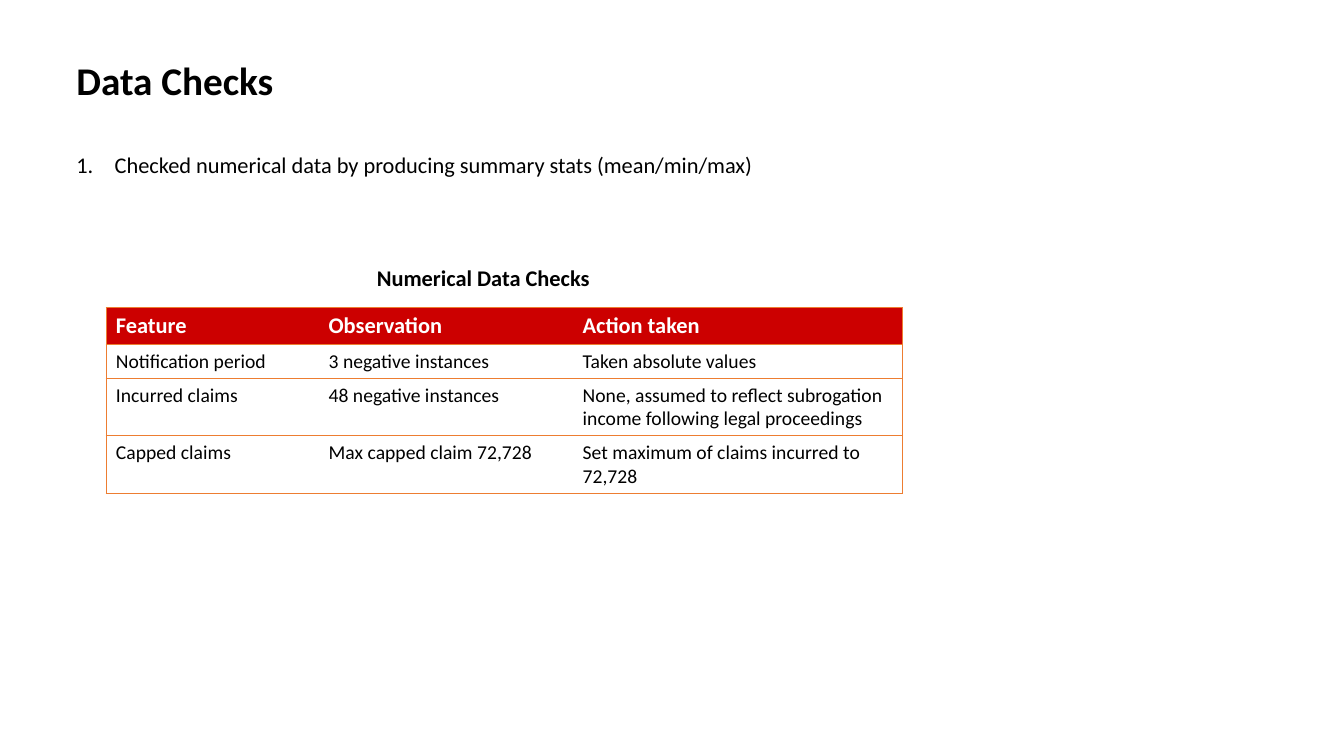
import pptx
import pptx.dml.color
import pptx.oxml.ns
import pptx.util
from lxml import etree

Inches = pptx.util.Inches
Pt = pptx.util.Pt
qn = pptx.oxml.ns.qn

TITLE = "Data Checks"
CHECK = "Checked numerical data by producing summary stats (mean/min/max)"
CAPTION = "Numerical Data Checks"
ROWS = [
    ("Feature", "Observation", "Action taken"),
    ("Notification period", "3 negative instances", "Taken absolute values"),
    ("Incurred claims", "48 negative instances",
     "None, assumed to reflect subrogation income following legal proceedings"),
    ("Capped claims", "Max capped claim 72,728", "Set maximum of claims incurred to 72,728"),
]
COLUMN_WIDTHS = [2.11, 2.52, 3.27]
ROW_HEIGHTS = [0.37, 0.33, 0.57, 0.57]
COLORS = {"text": "000000", "header": "CC0000", "header_text": "FFFFFF", "border": "ED7D31"}
FONT = "Calibri"


def color(name):
    return pptx.dml.color.RGBColor.from_string(COLORS[name])


def add_span(para, text, size, bold=False, ink="text"):
    span = para.add_run()
    span.text = text
    span.font.name = FONT
    span.font.size = Pt(size)
    span.font.bold = bold
    span.font.color.rgb = color(ink)


def add_box(page, left, top, width, height, wrap):
    box = page.shapes.add_textbox(Inches(left), Inches(top), Inches(width), Inches(height))
    box.text_frame.word_wrap = wrap
    return box.text_frame


def number_para(para, indent):
    props = para._p.get_or_add_pPr()
    props.set("marL", str(Inches(indent)))
    props.set("indent", str(-Inches(indent)))
    etree.SubElement(props, qn("a:buFont"), typeface="+mj-lt")
    etree.SubElement(props, qn("a:buAutoNum"), type="arabicPeriod")


def set_borders(cell, visible_sides):
    props = cell._tc.get_or_add_tcPr()
    for side in "LRTB":
        line = etree.SubElement(props, qn("a:ln" + side), w=str(Pt(0.5)))
        if side in visible_sides:
            fill = etree.SubElement(line, qn("a:solidFill"))
            etree.SubElement(fill, qn("a:srgbClr"), val=COLORS["border"])
        else:
            etree.SubElement(line, qn("a:noFill"))


def add_checks_table(page, left, top):
    frame = page.shapes.add_table(
        len(ROWS), len(COLUMN_WIDTHS), Inches(left), Inches(top),
        Inches(sum(COLUMN_WIDTHS)), Inches(sum(ROW_HEIGHTS)))
    table = frame.table
    table.horz_banding = False
    for column, width in zip(table.columns, COLUMN_WIDTHS):
        column.width = Inches(width)
    for row, height in zip(table.rows, ROW_HEIGHTS):
        row.height = Inches(height)
    last = len(COLUMN_WIDTHS) - 1
    for r, texts in enumerate(ROWS):
        header = r == 0
        for c, text in enumerate(texts):
            cell = table.cell(r, c)
            set_borders(cell, "TB" + ("L" if c == 0 else "") + ("R" if c == last else ""))
            if header:
                cell.fill.solid()
                cell.fill.fore_color.rgb = color("header")
            else:
                cell.fill.background()
            add_span(cell.text_frame.paragraphs[0], text, 16 if header else 14,
                     header, "header_text" if header else "text")


def main():
    deck = pptx.Presentation()
    deck.slide_width = Inches(13.33)
    deck.slide_height = Inches(7.5)
    page = deck.slides.add_slide(deck.slide_layouts[6])

    intro = add_box(page, 0.66, 0.51, 8.76, 1.95, True)
    add_span(intro.paragraphs[0], TITLE, 28, True)
    para = intro.add_paragraph()
    para.space_before = Pt(34)
    number_para(para, 0.38)
    add_span(para, CHECK, 16)

    add_checks_table(page, 1.05, 3.05)

    caption = add_box(page, 3.64, 2.57, 2.34, 0.37, False)
    add_span(caption.paragraphs[0], CAPTION, 16, True)
    deck.save("out.pptx")


if __name__ == "__main__":
    main()
